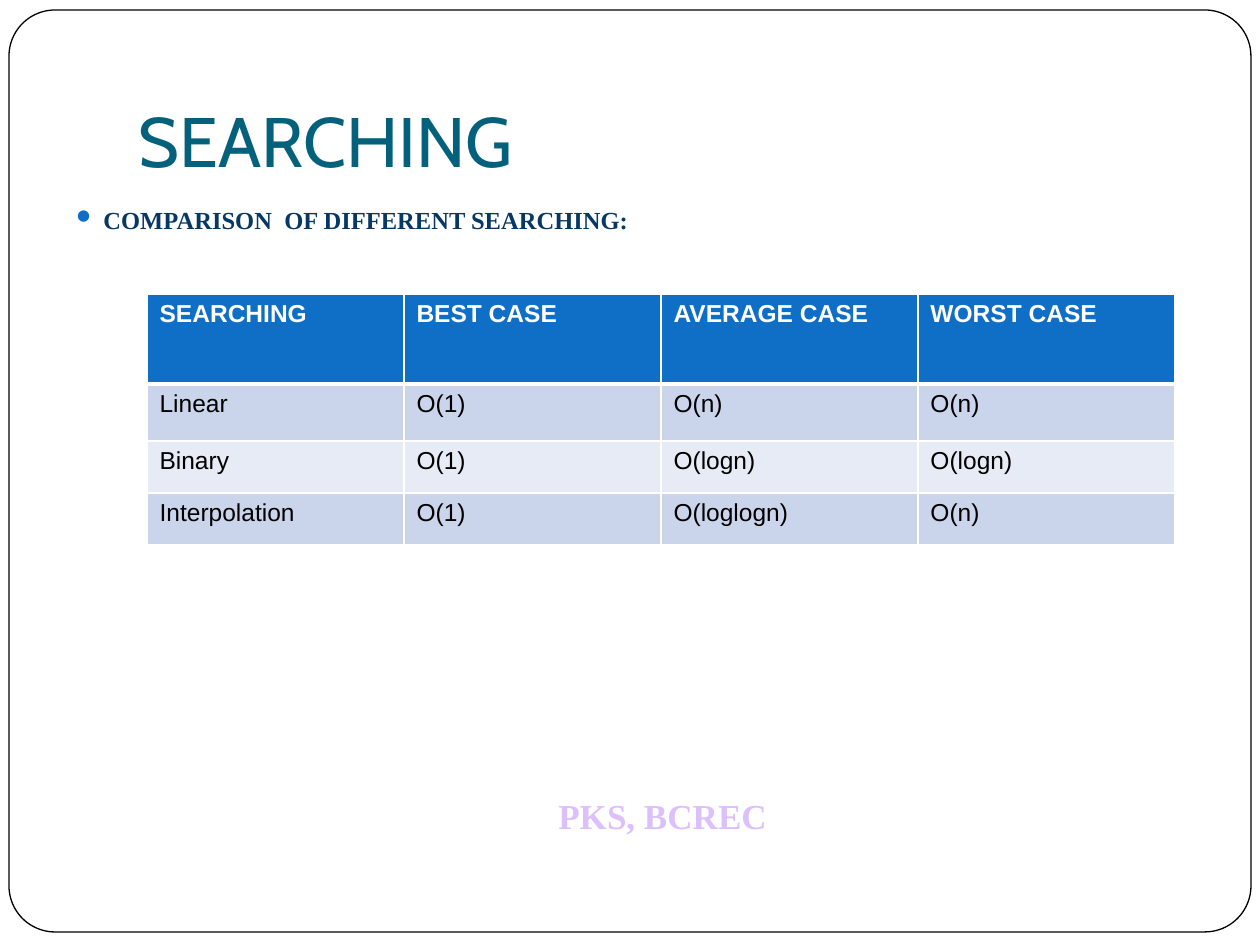
from lxml.etree import SubElement
from pptx import Presentation
from pptx.dml.color import RGBColor
from pptx.enum.shapes import MSO_SHAPE
from pptx.enum.text import MSO_ANCHOR, MSO_AUTO_SIZE, PP_ALIGN
from pptx.oxml.ns import qn
from pptx.util import Emu, Pt

WHITE = RGBColor(0xFF, 0xFF, 0xFF)
BLACK = RGBColor(0x00, 0x00, 0x00)
TEAL = RGBColor(0x04, 0x61, 0x7B)
NAVY = RGBColor(0x07, 0x37, 0x63)
LILAC = RGBColor(0xDC, 0xC0, 0xFD)
BLUE = RGBColor(0x0F, 0x6F, 0xC6)
BAND_DARK = RGBColor(0xCA, 0xD4, 0xEA)
BAND_LIGHT = RGBColor(0xE6, 0xEB, 0xF5)


def px(value):
    return Emu(round(value * 914400 / 126))


def format_text(paragraph, font_name, size, color, bold=False):
    for run in paragraph.runs:
        run.font.name = font_name
        run.font.size = Pt(size)
        run.font.color.rgb = color
        run.font.bold = bold


presentation = Presentation()
presentation.slide_width = px(1260)
presentation.slide_height = px(945)
slide = presentation.slides.add_slide(presentation.slide_layouts[5])
shapes = slide.shapes

title = shapes.title
title.left, title.top, title.width, title.height = px(126), px(38), px(1071), px(157)
title_frame = title.text_frame
title_frame.text = "SEARCHING"
title_frame.auto_size = MSO_AUTO_SIZE.NONE
title_frame.vertical_anchor = MSO_ANCHOR.BOTTOM
title_frame.margin_bottom = px(13)
title_frame.paragraphs[0].alignment = PP_ALIGN.LEFT
format_text(title_frame.paragraphs[0], "Cabin", 40, TEAL)

border = shapes.add_shape(MSO_SHAPE.ROUNDED_RECTANGLE, px(9), px(10), px(1242), px(922))
border.adjustments[0] = 0.05
border.shadow.inherit = False
border.fill.solid()
border.fill.fore_color.rgb = WHITE
border.line.color.rgb = BLACK
border.line.width = Pt(0.75)
title._element.addprevious(border._element)

footer = shapes.add_textbox(px(546), px(788), px(290), px(55))
footer.text_frame.word_wrap = True
footer.text_frame.text = "PKS, BCREC"
format_text(footer.text_frame.paragraphs[0], "Times New Roman", 20, LILAC, True)

body = shapes.add_textbox(px(53), px(199), px(1176), px(693))
body.text_frame.word_wrap = True
body.text_frame.text = "COMPARISON  OF DIFFERENT SEARCHING:"
heading = body.text_frame.paragraphs[0]
format_text(heading, "Times New Roman", 14, NAVY, True)
heading_properties = heading._p.get_or_add_pPr()
heading_properties.set("marL", str(px(38)))
heading_properties.set("indent", str(-px(30)))
bullet_color = SubElement(heading_properties, qn("a:buClr"))
SubElement(bullet_color, qn("a:srgbClr"), val=str(BLUE))
SubElement(heading_properties, qn("a:buChar"), char="⚫")

rows = [
    ("SEARCHING", "BEST CASE", "AVERAGE CASE", "WORST CASE"),
    ("Linear", "O(1)", "O(n)", "O(n)"),
    ("Binary", "O(1)", "O(logn)", "O(logn)"),
    ("Interpolation", "O(1)", "O(loglogn)", "O(n)"),
]
row_heights = [90, 57, 52, 52]
row_fills = [BLUE, BAND_DARK, BAND_LIGHT, BAND_DARK]

table = shapes.add_table(4, 4, px(147), px(294), px(1028), px(sum(row_heights))).table
for column in table.columns:
    column.width = px(257)
for row_index, values in enumerate(rows):
    table.rows[row_index].height = px(row_heights[row_index])
    is_header = row_index == 0
    for column_index, value in enumerate(values):
        cell = table.cell(row_index, column_index)
        cell.text_frame.text = value
        format_text(cell.text_frame.paragraphs[0], "Arial", 14,
                    WHITE if is_header else BLACK, is_header)
        cell_properties = cell._tc.get_or_add_tcPr()
        for side in ("lnL", "lnR", "lnT", "lnB"):
            thick = (row_index, side) in ((0, "lnB"), (1, "lnT"))
            edge = SubElement(cell_properties, qn(f"a:{side}"), w=str(Pt(3 if thick else 1)))
            edge_fill = SubElement(edge, qn("a:solidFill"))
            SubElement(edge_fill, qn("a:srgbClr"), val=str(WHITE))
        cell.fill.solid()
        cell.fill.fore_color.rgb = row_fills[row_index]

presentation.save("out.pptx")
